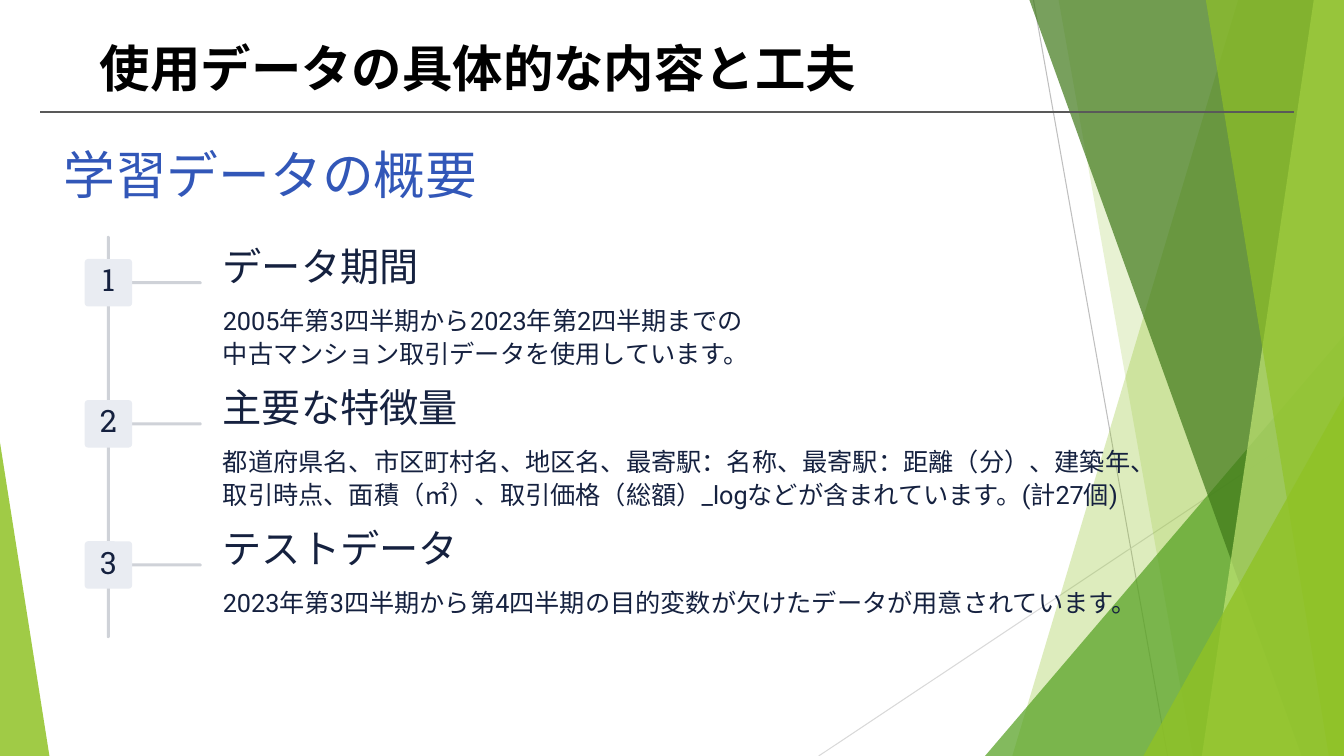
from collections import namedtuple

from lxml.etree import SubElement
from pptx import Presentation
from pptx.dml.color import RGBColor
from pptx.enum.shapes import MSO_CONNECTOR, MSO_SHAPE
from pptx.enum.text import MSO_ANCHOR, PP_ALIGN
from pptx.oxml.ns import qn
from pptx.util import Inches, Pt

Box = namedtuple("Box", "left top width height")

COLORS = {
    "title": "000000", "rule": "595959", "heading": "3257B8", "text": "15213F",
    "track": "CFD2D8", "badge": "E9ECF2",
    "lime": "90C226", "pale": "C0E474", "green": "54A021", "forest": "3F7819",
    "ray_dark": "BFBFBF", "ray_light": "D9D9D9",
}

STEPS = [
    ("データ期間", ["2005年第3四半期から2023年第2四半期までの",
               "中古マンション取引データを使用しています。"]),
    ("主要な特徴量", ["都道府県名、市区町村名、地区名、最寄駅：名称、最寄駅：距離（分）、建築年、",
                "取引時点、面積（㎡）、取引価格（総額）_logなどが含まれています。(計27個)"]),
    ("テストデータ", ["2023年第3四半期から第4四半期の目的変数が欠けたデータが用意されています。"]),
]


def color(name):
    return RGBColor.from_string(COLORS[name])


def paint(shape, fill, opacity=100):
    shape.shadow.inherit = False
    shape.fill.solid()
    shape.fill.fore_color.rgb = color(fill)
    shape.line.fill.background()
    if opacity < 100:
        tint = shape.fill._xPr.find(qn("a:solidFill"))[0]
        SubElement(tint, qn("a:alpha"), val=str(opacity * 1000))


def add_preset(page, kind, box, adjustment, fill, opacity=100):
    shape = page.shapes.add_shape(kind, *map(Inches, box))
    shape.adjustments[0] = adjustment
    paint(shape, fill, opacity)


def add_line(page, start, end, line_color, width):
    line = page.shapes.add_connector(
        MSO_CONNECTOR.STRAIGHT, *map(Inches, (*start, *end)))
    line.line.color.rgb = color(line_color)
    line.line.width = Pt(width)
    SubElement(line._element.spPr, qn("a:effectLst"))


def add_text(page, box, lines, font, size, text_color, spacing=None,
             align=PP_ALIGN.LEFT, bold=False):
    frame = page.shapes.add_textbox(*map(Inches, box)).text_frame
    frame.word_wrap = False
    frame.vertical_anchor = MSO_ANCHOR.TOP
    frame.margin_left = frame.margin_right = 0
    frame.margin_top = frame.margin_bottom = 0
    for index, line in enumerate(lines):
        para = frame.add_paragraph() if index else frame.paragraphs[0]
        para.alignment = align
        if spacing:
            para.line_spacing = Pt(spacing)
        span = para.add_run()
        span.text = line
        span.font.name = font
        span.font.size = Pt(size)
        span.font.bold = bold
        span.font.color.rgb = color(text_color)


def add_shard(page, box, top_edge, bottom_edge, fill, opacity):
    """Band from the given top and bottom x offsets to the right side of the box."""
    right, bottom = box.left + box.width, box.top + box.height
    builder = page.shapes.build_freeform(
        Inches(box.left + top_edge), Inches(box.top))
    builder.add_line_segments([
        (Inches(right), Inches(box.top)),
        (Inches(right), Inches(bottom)),
        (Inches(box.left + bottom_edge), Inches(bottom)),
    ])
    paint(builder.convert_to_shape(), fill, opacity)


def add_corner(page, box, width, height, fill, opacity, at_right=True):
    """Right triangle standing in a lower corner of the box."""
    left = box.left + (box.width - width if at_right else 0)
    corner = Box(left, box.top + box.height - height, width, height)
    add_preset(page, MSO_SHAPE.ISOSCELES_TRIANGLE, corner, int(at_right), fill, opacity)


def add_backdrop(page, box):
    right, bottom = box.left + box.width, box.top + box.height
    # Thin rays
    add_line(page, (box.left + 10.25, box.top), (box.left + 11.58, bottom),
             "ray_dark", 0.75)
    add_line(page, (right, box.top + 4.03), (box.left + 8.12, bottom),
             "ray_light", 0.75)
    # Translucent facets, back to front
    add_shard(page, box, 12.28, 10.04, "lime", 30)
    add_shard(page, box, 10.5, 11.83, "lime", 20)
    add_corner(page, box, 3.56, 4.17, "green", 72)
    add_shard(page, box, 10.21, 12.91, "forest", 70)
    add_shard(page, box, 13.03, 11.92, "pale", 70)
    add_shard(page, box, 11.96, 13.18, "lime", 65)
    add_corner(page, box, 1.99, 3.57, "lime", 80)
    add_corner(page, box, 0.49, 3.11, "lime", 85, at_right=False)


def add_header(page, box):
    # Title and the rule below it
    title = Box(box.left + 0.59, box.top + 0.05, box.width - 1.13, 0.7)
    add_text(page, title, ["使用データの具体的な内容と工夫"], "Karla", 36, "title", bold=True)
    rule = box.top + box.height
    add_line(page, (box.left, rule), (box.left + box.width, rule), "rule", 1.5)


def add_step(page, box, number, heading, lines):
    # Branch and numbered badge
    add_preset(page, MSO_SHAPE.ROUNDED_RECTANGLE,
               Box(box.left + 0.44, box.top + 0.24, 0.72, 0.03), 0.5, "track")
    badge = Box(box.left, box.top + 0.02, 0.47, 0.47)
    add_preset(page, MSO_SHAPE.ROUNDED_RECTANGLE, badge, 0.07, "badge")
    add_text(page, badge._replace(top=badge.top + 0.08, height=0.31), [str(number)],
             "Roboto Slab", 22, "text", 22, PP_ALIGN.CENTER)
    # Heading and description
    left, width = box.left + 1.37, box.width - 1.37
    add_text(page, Box(left, box.top, width, 0.32), [heading],
             "Roboto Slab", 28, "text", 23)
    add_text(page, Box(left, box.top + 0.45, width, 0.33 * len(lines)), lines,
             "Roboto", 18, "text", 23.5)


def add_timeline(page, box):
    # Vertical track
    add_preset(page, MSO_SHAPE.ROUNDED_RECTANGLE,
               Box(box.left + 0.22, box.top, 0.03, box.height), 0.5, "track")
    # Steps at an equal pitch
    pitch = 1.4
    for index, (heading, lines) in enumerate(STEPS):
        step = Box(box.left, box.top + 0.21 + index * pitch, box.width, pitch)
        add_step(page, step, index + 1, heading, lines)


def main():
    deck = Presentation()
    deck.slide_width, deck.slide_height = Inches(13.33), Inches(7.5)
    page = deck.slides.add_slide(deck.slide_layouts[6])
    add_backdrop(page, Box(0, 0, 13.33, 7.5))
    add_header(page, Box(0.4, 0.32, 12.43, 0.79))
    add_timeline(page, Box(0.84, 2.34, 11.78, 3.99))
    # Section heading
    add_text(page, Box(0.63, 1.39, 5.17, 0.65), ["学習データの概要"],
             "Roboto Slab", 37, "heading", 46.5)
    deck.save("out.pptx")


if __name__ == "__main__":
    main()
